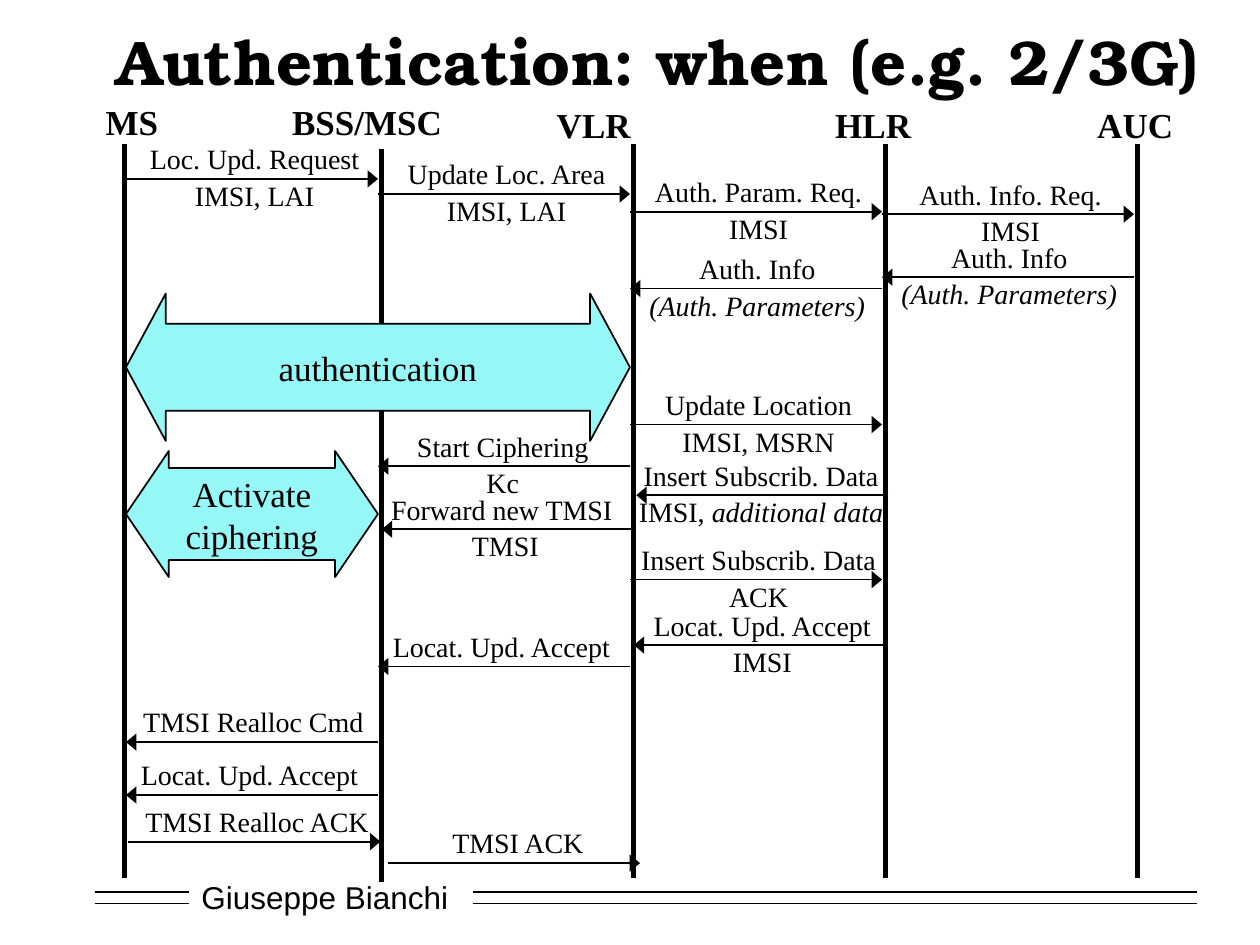
from lxml.etree import SubElement
from pptx import Presentation
from pptx.dml.color import RGBColor
from pptx.enum.shapes import MSO_CONNECTOR as Connector, MSO_SHAPE as Shape
from pptx.enum.text import MSO_ANCHOR as Anchor, MSO_AUTO_SIZE as AutoSize, PP_ALIGN as Align
from pptx.oxml.ns import qn
from pptx.util import Inches, Pt


def color(hex_code):
    return RGBColor.from_string(hex_code)


class SequenceSlide:
    ink = "000000"
    paper = "FFFFFF"
    accent = "96F8F6"
    serif = "Times New Roman"
    label_rise = 0.37

    def __init__(self, slide):
        self.slide = slide
        self.shapes = slide.shapes

    def style(self, frame, size, font=None, bold=False, align=Align.LEFT):
        for paragraph in frame.paragraphs:
            paragraph.alignment = align
            for run in paragraph.runs:
                run.font.name = font or self.serif
                run.font.size = Pt(size)
                run.font.bold = bold
                run.font.color.rgb = color(self.ink)

    def title(self, text, left, top, width, height):
        heading = self.shapes.title
        heading.left, heading.top = Inches(left), Inches(top)
        heading.width, heading.height = Inches(width), Inches(height)
        frame = heading.text_frame
        frame.text = text
        frame.word_wrap = True
        frame.auto_size = AutoSize.NONE
        frame.vertical_anchor = Anchor.MIDDLE
        self.style(frame, 36, "TeX Gyre Bonum", True, Align.CENTER)

    def line(self, x1, y1, x2, y2, weight=1, arrow=False):
        connector = self.shapes.add_connector(
            Connector.STRAIGHT, Inches(x1), Inches(y1), Inches(x2), Inches(y2))
        connector.line.color.rgb = color(self.ink)
        connector.line.width = Pt(weight)
        if arrow:
            SubElement(connector.line._get_or_add_ln(), qn("a:tailEnd"),
                       type="triangle", w="lg", len="med")
        SubElement(connector._element.spPr, qn("a:effectLst"))

    def text_box(self, left, top, width, height):
        box = self.shapes.add_textbox(Inches(left), Inches(top), Inches(width), Inches(height))
        box.text_frame.word_wrap = False
        box.text_frame.auto_size = AutoSize.SHAPE_TO_FIT_TEXT
        return box.text_frame

    def lifeline(self, name, x, name_left, name_top, name_width, top, bottom):
        self.line(x, top, x, bottom, weight=3)
        frame = self.text_box(name_left, name_top, name_width, 0.44)
        frame.text = name
        self.style(frame, 20, bold=True)

    def message(self, start, end, y, center, width, *captions):
        self.line(start, y, end, y, arrow=True)
        height = 0.11 + 0.29 * len(captions)
        frame = self.text_box(center - width / 2, y - self.label_rise, width, height)
        for index, caption in enumerate(captions):
            paragraph = frame.add_paragraph() if index else frame.paragraphs[0]
            paragraph.line_spacing = 1.1
            for part, words in enumerate(caption.split("*")):
                if words:
                    run = paragraph.add_run()
                    run.text = words
                    run.font.italic = part % 2 == 1
        self.style(frame, 16, align=Align.CENTER)

    def panel(self, kind, text, left, top, width, height, fill):
        panel = self.shapes.add_shape(
            kind, Inches(left), Inches(top), Inches(width), Inches(height))
        panel.shadow.inherit = False
        panel.fill.solid()
        panel.fill.fore_color.rgb = color(fill)
        panel.text_frame.text = text
        panel.text_frame.vertical_anchor = Anchor.MIDDLE
        return panel

    def phase(self, text, left, top, width, height, shaft, head):
        phase = self.panel(Shape.LEFT_RIGHT_ARROW, text, left, top, width, height, self.accent)
        phase.adjustments[0] = shaft
        phase.adjustments[1] = head
        phase.line.color.rgb = color(self.ink)
        phase.line.width = Pt(1)
        phase.text_frame.word_wrap = False
        self.style(phase.text_frame, 20, align=Align.CENTER)

    def footer(self, author):
        plate = self.panel(Shape.RECTANGLE, author, 1.5, 6.92, 2.17, 0.4, self.paper)
        plate.line.fill.background()
        plate.text_frame.word_wrap = True
        self.style(plate.text_frame, 18, "Arial")
        for y in (7.08, 7.17):
            for start, end in ((0.75, 1.5), (3.75, 9.5)):
                self.line(start, y, end, y)


LIFELINES = [
    ("MS", 0.99, 0.74, 0.75, 0.65, 1.14, 6.97),
    ("BSS/MSC", 3.03, 2.22, 0.75, 1.41, 1.18, 7),
    ("VLR", 5.03, 4.32, 0.77, 0.81, 1.14, 6.97),
    ("HLR", 7.03, 6.53, 0.77, 0.82, 1.14, 6.97),
    ("AUC", 9.03, 8.61, 0.77, 0.82, 1.14, 6.97),
]

PHASES = [
    ("authentication", 1, 2.33, 4, 1.17, 0.59, 0.27),
    ("Activate\vciphering", 1, 3.58, 2, 1, 0.73, 0.34),
]

MESSAGES = [
    (1, 3, 1.42, 2.02, 1.9, "Loc. Upd. Request", "IMSI, LAI"),
    (3, 5, 1.54, 4.02, 1.82, "Update Loc. Area", "IMSI, LAI"),
    (5, 7, 1.68, 6.02, 1.9, "Auth. Param. Req.", "IMSI"),
    (7, 9, 1.7, 8.02, 1.7, "Auth. Info. Req.", "IMSI"),
    (9, 7, 2.2, 8.01, 1.95, "Auth. Info", "*(Auth. Parameters)*"),
    (7, 5, 2.29, 6.01, 1.95, "Auth. Info", "*(Auth. Parameters)*"),
    (5, 7, 3.37, 6.02, 1.72, "Update Location", "IMSI, MSRN"),
    (7.05, 5.05, 3.93, 6.04, 2.19, "Insert Subscrib. Data", "IMSI, *additional data*"),
    (5, 7, 4.6, 6.02, 2.12, "Insert Subscrib. Data", "ACK"),
    (7.03, 5.03, 5.12, 6.05, 1.97, "Locat. Upd. Accept", "IMSI"),
    (5, 3, 3.7, 3.99, 1.6, "Start Ciphering", "Kc"),
    (5, 3, 5.29, 3.98, 1.97, "Locat. Upd. Accept"),
    (5.03, 3.03, 4.2, 4.01, 2.05, "Forward new TMSI ", "TMSI"),
    (3, 1, 5.89, 2.01, 1.99, "TMSI Realloc Cmd"),
    (3, 1, 6.31, 1.98, 1.97, "Locat. Upd. Accept"),
    (1.02, 3.02, 6.68, 2.04, 2.02, "TMSI Realloc ACK"),
    (3.08, 5.08, 6.85, 4.11, 1.29, "TMSI ACK"),
]


def main():
    deck = Presentation()
    deck.slide_width, deck.slide_height = Inches(10), Inches(7.5)
    sequence = SequenceSlide(deck.slides.add_slide(deck.slide_layouts[5]))
    sequence.footer("Giuseppe Bianchi")
    sequence.title("Authentication: when (e.g. 2/3G)", 0.75, 0.25, 8.94, 0.45)
    for lifeline in LIFELINES:
        sequence.lifeline(*lifeline)
    for phase in PHASES:
        sequence.phase(*phase)
    for message in MESSAGES:
        sequence.message(*message)
    deck.save("out.pptx")


if __name__ == "__main__":
    main()
